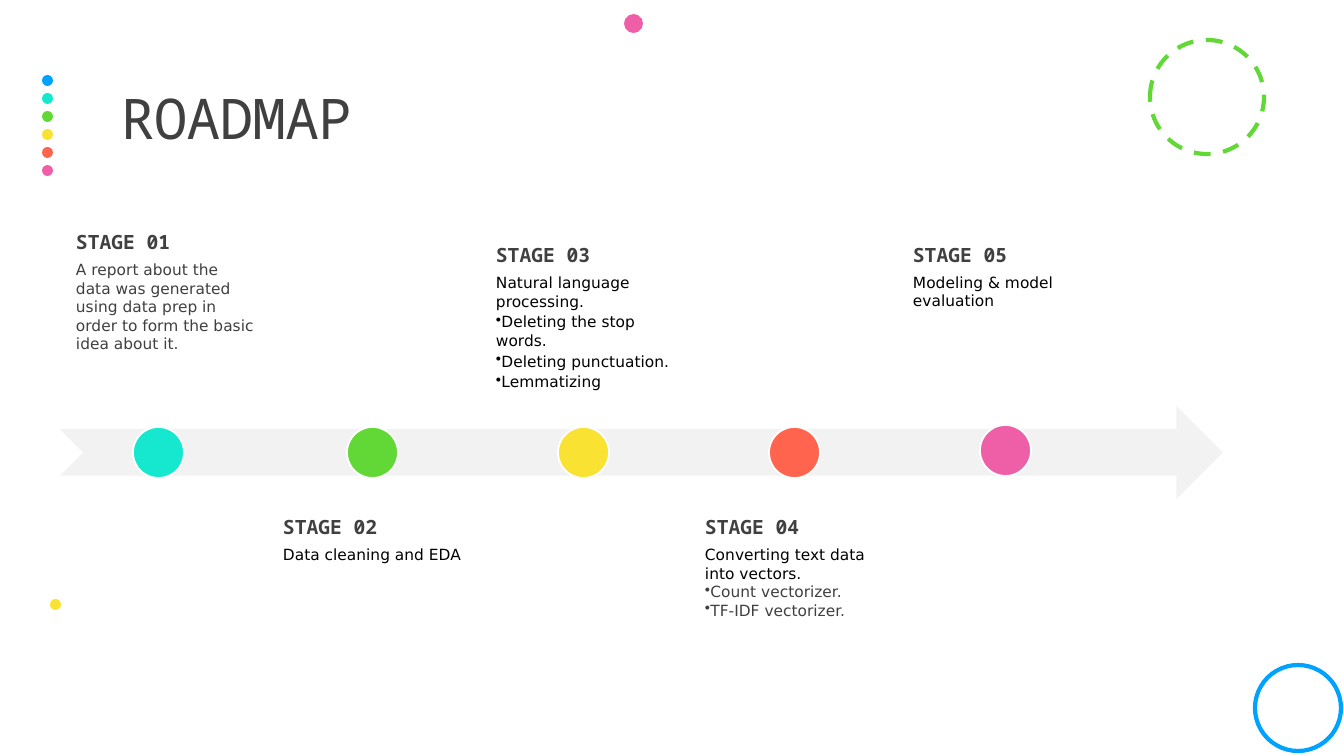
from lxml.etree import SubElement
from pptx import Presentation
from pptx.dml.color import RGBColor
from pptx.enum.dml import MSO_LINE
from pptx.enum.shapes import MSO_SHAPE
from pptx.enum.text import MSO_ANCHOR
from pptx.oxml.ns import qn
from pptx.util import Emu, Pt

BLUE = RGBColor(0x00, 0xA2, 0xFF)
TEAL = RGBColor(0x16, 0xE7, 0xCF)
GREEN = RGBColor(0x61, 0xD8, 0x36)
YELLOW = RGBColor(0xFA, 0xE2, 0x32)
CORAL = RGBColor(0xFF, 0x64, 0x4E)
PINK = RGBColor(0xEF, 0x5F, 0xA7)
PALE = RGBColor(0xF2, 0xF2, 0xF2)
GREY = RGBColor(0x40, 0x40, 0x40)
BLACK = RGBColor(0, 0, 0)
WHITE = RGBColor(0xFF, 0xFF, 0xFF)

MONO, SANS = "Noto Sans Mono", "DejaVu Sans"
EMU_PER_PX = 914400 / 100.8
TOP, MIDDLE, BOTTOM = MSO_ANCHOR.TOP, MSO_ANCHOR.MIDDLE, MSO_ANCHOR.BOTTOM

RAIL_COLORS = [BLUE, TEAL, GREEN, YELLOW, CORAL, PINK]

# Each line of a stage: text, colour, bulleted
STAGES = [
    dict(name="STAGE 01", color=TEAL, marker=(133, 427), box=(65, 243, 201, 121),
         anchor=BOTTOM, indent=0, gap=0, lines=[
             ("A report about the data was generated using data prep in order "
              "to form the basic idea about it.", GREY, False)]),
    dict(name="STAGE 02", color=GREEN, marker=(347, 427), box=(272, 504, 201, 206),
         anchor=TOP, indent=0, gap=1.6, lines=[
             ("Data cleaning and EDA", BLACK, False)]),
    dict(name="STAGE 03", color=YELLOW, marker=(558, 427), box=(483, 196, 201, 206),
         anchor=BOTTOM, indent=2, gap=1.6, lines=[
             ("Natural language processing.", BLACK, False),
             ("Deleting the stop words.", BLACK, True),
             ("Deleting punctuation.", BLACK, True),
             ("Lemmatizing", BLACK, True)]),
    dict(name="STAGE 04", color=CORAL, marker=(769, 427), box=(694, 504, 201, 206),
         anchor=TOP, indent=0, gap=0, lines=[
             ("Converting text data into vectors.", BLACK, False),
             ("Count vectorizer.", GREY, True),
             ("TF-IDF vectorizer.", GREY, True)]),
    dict(name="STAGE 05", color=PINK, marker=(980, 425), box=(902, 236, 201, 85),
         anchor=BOTTOM, indent=0, gap=0, lines=[
             ("Modeling & model evaluation", BLACK, False)]),
]


def px(length):
    return Emu(round(length * EMU_PER_PX))


def add_figure(page, kind, bounds, fill=None, line=None, width=0, dash=None):
    shape = page.shapes.add_shape(kind, *map(px, bounds))
    shape.shadow.inherit = False
    if fill is None:
        shape.fill.background()
    else:
        shape.fill.solid()
        shape.fill.fore_color.rgb = fill
    if line is None:
        shape.line.fill.background()
    else:
        shape.line.color.rgb = line
        shape.line.width = Pt(width)
        if dash is not None:
            shape.line.dash_style = dash


def add_circle(page, left, top, size, **style):
    add_figure(page, MSO_SHAPE.OVAL, (left, top, size, size), **style)


def add_frame(page, bounds, anchor, inset_x, inset_y):
    frame = page.shapes.add_textbox(*map(px, bounds)).text_frame
    frame.word_wrap = True
    frame.vertical_anchor = anchor
    frame.margin_left = frame.margin_right = px(inset_x)
    frame.margin_top = frame.margin_bottom = px(inset_y)
    return frame


def write(para, text, font, size, color, bold=False, after=0, indent=0,
          bullet=False, spacing=None):
    properties = para._p.get_or_add_pPr()
    properties.set("marL", str(px(indent)))
    properties.set("indent", "0")
    if bullet:
        SubElement(properties, qn("a:buChar")).set("char", "•")
    para.space_before = Pt(0)
    para.space_after = Pt(after)
    span = para.add_run()
    span.text = text
    span.font.name = font
    span.font.size = Pt(size)
    span.font.bold = bold
    span.font.color.rgb = color
    if spacing is not None:
        span.font._element.set("spc", str(spacing))


def add_stage(page, stage):
    frame = add_frame(page, stage["box"], stage["anchor"], 11, 11)
    indent = stage["indent"]
    write(frame.paragraphs[0], stage["name"], MONO, 14, GREY, bold=True,
          after=4.9, indent=indent)
    for text, color, bullet in stage["lines"]:
        write(frame.add_paragraph(), text, SANS, 11, color,
              after=stage["gap"], indent=indent, bullet=bullet)
    add_circle(page, *stage["marker"], 51, fill=stage["color"], line=WHITE, width=1.25)


def main():
    deck = Presentation()
    deck.slide_width, deck.slide_height = px(1344), px(756)
    page = deck.slides.add_slide(deck.slide_layouts[6])

    for row, color in enumerate(RAIL_COLORS):
        add_circle(page, 42, 75 + 18 * row, 11, fill=color)
    add_circle(page, 1150, 40, 114, line=GREEN, width=3, dash=MSO_LINE.DASH)
    add_circle(page, 624, 14, 19, fill=PINK)
    add_circle(page, 50, 599, 11, fill=YELLOW)
    add_circle(page, 1255, 665, 86, line=BLUE, width=3)

    add_figure(page, MSO_SHAPE.NOTCHED_RIGHT_ARROW, (60, 406, 1163, 93), fill=PALE)
    for stage in STAGES:
        add_stage(page, stage)

    title = add_frame(page, (121, 46, 1109, 151), MIDDLE, 0, 5).paragraphs[0]
    write(title, "ROADMAP", MONO, 40, GREY, spacing=-50)
    title.line_spacing = 0.9

    deck.save("out.pptx")


if __name__ == "__main__":
    main()
